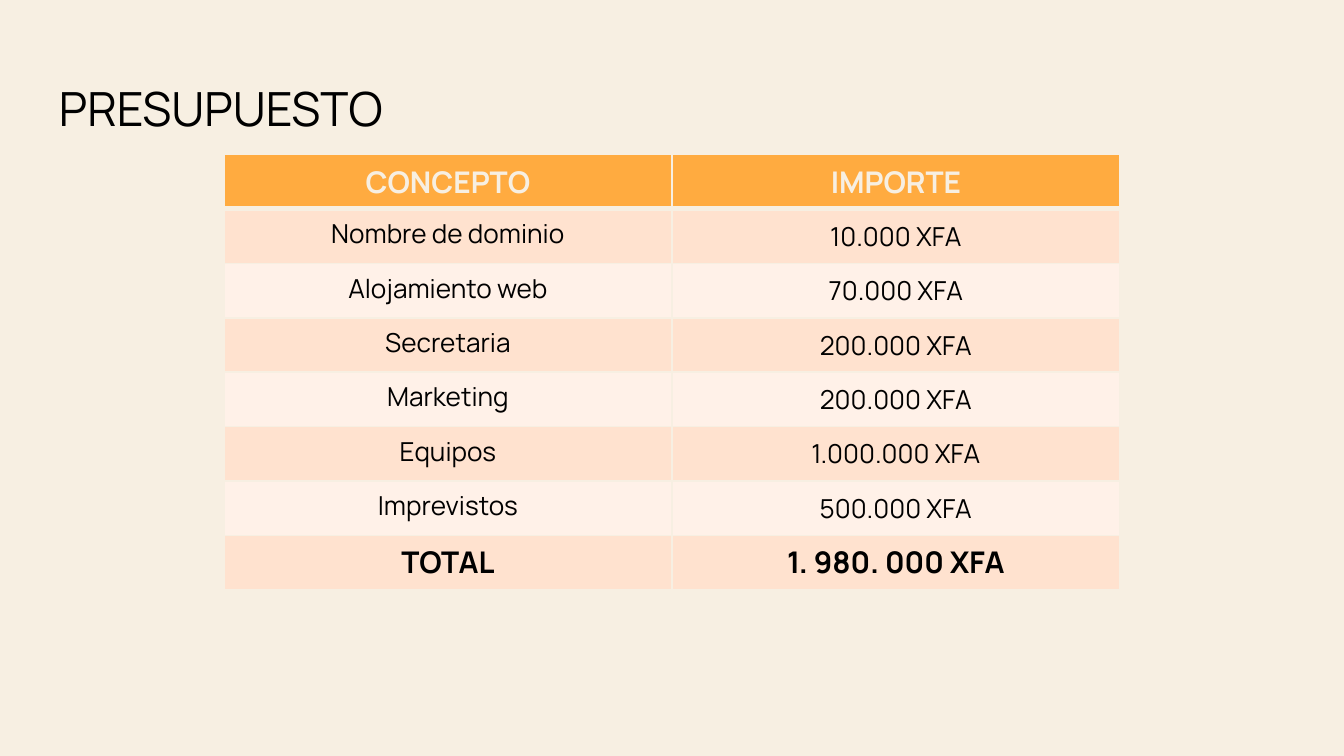
from typing import NamedTuple

from lxml import etree
from pptx import Presentation
from pptx.dml.color import RGBColor
from pptx.enum.text import MSO_ANCHOR, PP_ALIGN
from pptx.oxml.ns import qn
from pptx.util import Inches, Pt

CREAM = RGBColor(0xF7, 0xEF, 0xE2)
ORANGE = RGBColor(0xFF, 0xAB, 0x40)
PEACH = RGBColor(0xFF, 0xE2, 0xCF)
PALE_PEACH = RGBColor(0xFF, 0xF1, 0xE8)
BLACK = RGBColor(0, 0, 0)

TOP, MIDDLE = MSO_ANCHOR.TOP, MSO_ANCHOR.MIDDLE
LEFT, CENTER = PP_ALIGN.LEFT, PP_ALIGN.CENTER
FONT = "Manrope"
WIDTH = Inches(10)
HEIGHT = WIDTH * 9 // 16
ROW_HEIGHT = int(HEIGHT * 0.072)


class BudgetLine(NamedTuple):
    concept: str
    amount: str
    emphasized: bool = False


BUDGET = [
    BudgetLine("CONCEPTO", "IMPORTE", True),
    BudgetLine("Nombre de dominio", "10.000 XFA"),
    BudgetLine("Alojamiento web", "70.000 XFA"),
    BudgetLine("Secretaria", "200.000 XFA"),
    BudgetLine("Marketing", "200.000 XFA"),
    BudgetLine("Equipos", "1.000.000 XFA"),
    BudgetLine("Imprevistos", "500.000 XFA"),
    BudgetLine("TOTAL", "1. 980. 000 XFA", True),
]


def write(frame, text: str, *, size: float, color: RGBColor = BLACK,
          bold: bool = False, align=LEFT) -> None:
    paragraph = frame.paragraphs[0]
    paragraph.alignment = align
    run = paragraph.add_run()
    run.text = text
    run.font.name = FONT
    run.font.size = Pt(size)
    run.font.bold = bold
    run.font.color.rgb = color


def set_borders(cell, widths: dict[str, float], color: RGBColor) -> None:
    properties = cell._tc.get_or_add_tcPr()
    for position, (side, width) in enumerate(widths.items()):
        border = etree.Element(qn(f"a:{side}"), w=str(Pt(width)))
        fill = etree.SubElement(border, qn("a:solidFill"))
        etree.SubElement(fill, qn("a:srgbClr"), val=str(color))
        properties.insert(position, border)


def add_title(slide, text: str) -> None:
    title = slide.shapes.add_textbox(
        int(WIDTH * 0.034), Inches(0.49), int(WIDTH * 0.932), Inches(0.63))
    frame = title.text_frame
    frame.word_wrap = True
    frame.vertical_anchor = MIDDLE
    frame.margin_left = frame.margin_right = Inches(0.1)
    frame.margin_top = frame.margin_bottom = Inches(0.1)
    write(frame, text, size=25.2)


def add_budget(slide, lines: list[BudgetLine]) -> None:
    table_width = WIDTH * 2 // 3
    table = slide.shapes.add_table(
        len(lines), 2, (WIDTH - table_width) // 2, Inches(1.15),
        table_width, ROW_HEIGHT * len(lines)).table
    for row, line in enumerate(lines):
        table.rows[row].height = ROW_HEIGHT
        header = row == 0
        band = ORANGE if header else PEACH if row % 2 else PALE_PEACH
        widths = {"lnL": 1, "lnR": 1, "lnT": 3 if row == 1 else 1,
                  "lnB": 3 if header else 1}
        for column, text in enumerate((line.concept, line.amount)):
            cell = table.cell(row, column)
            cell.vertical_anchor = MIDDLE if header or column else TOP
            cell.fill.solid()
            cell.fill.fore_color.rgb = band
            set_borders(cell, widths, CREAM)
            write(cell.text_frame, text, size=16 if line.emphasized else 14,
                  color=CREAM if header else BLACK,
                  bold=line.emphasized, align=CENTER)


def main() -> None:
    deck = Presentation()
    deck.slide_width, deck.slide_height = WIDTH, HEIGHT
    slide = deck.slides.add_slide(deck.slide_layouts[6])
    slide.background.fill.solid()
    slide.background.fill.fore_color.rgb = CREAM
    add_title(slide, "PRESUPUESTO")
    add_budget(slide, BUDGET)
    deck.save("out.pptx")


if __name__ == "__main__":
    main()
